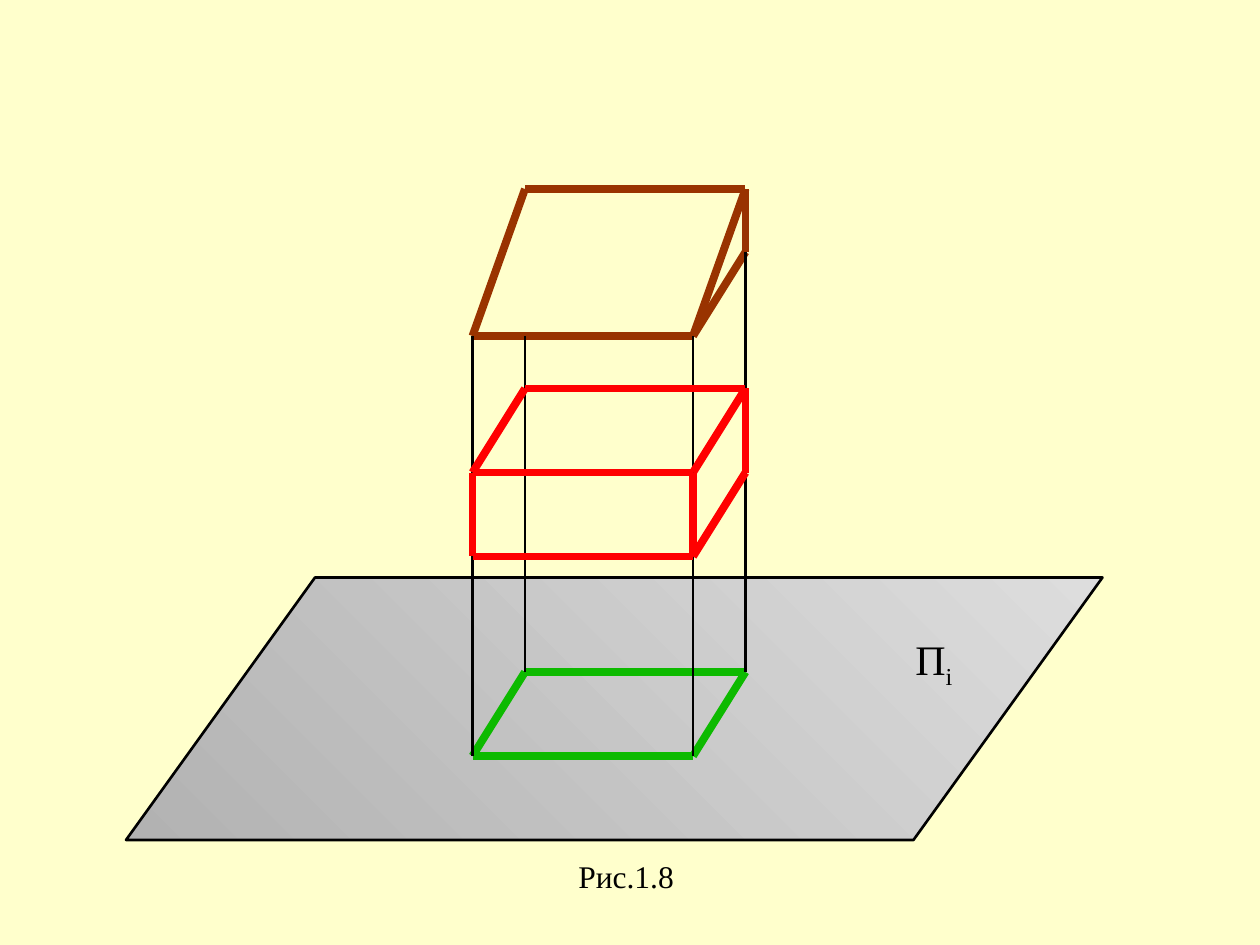
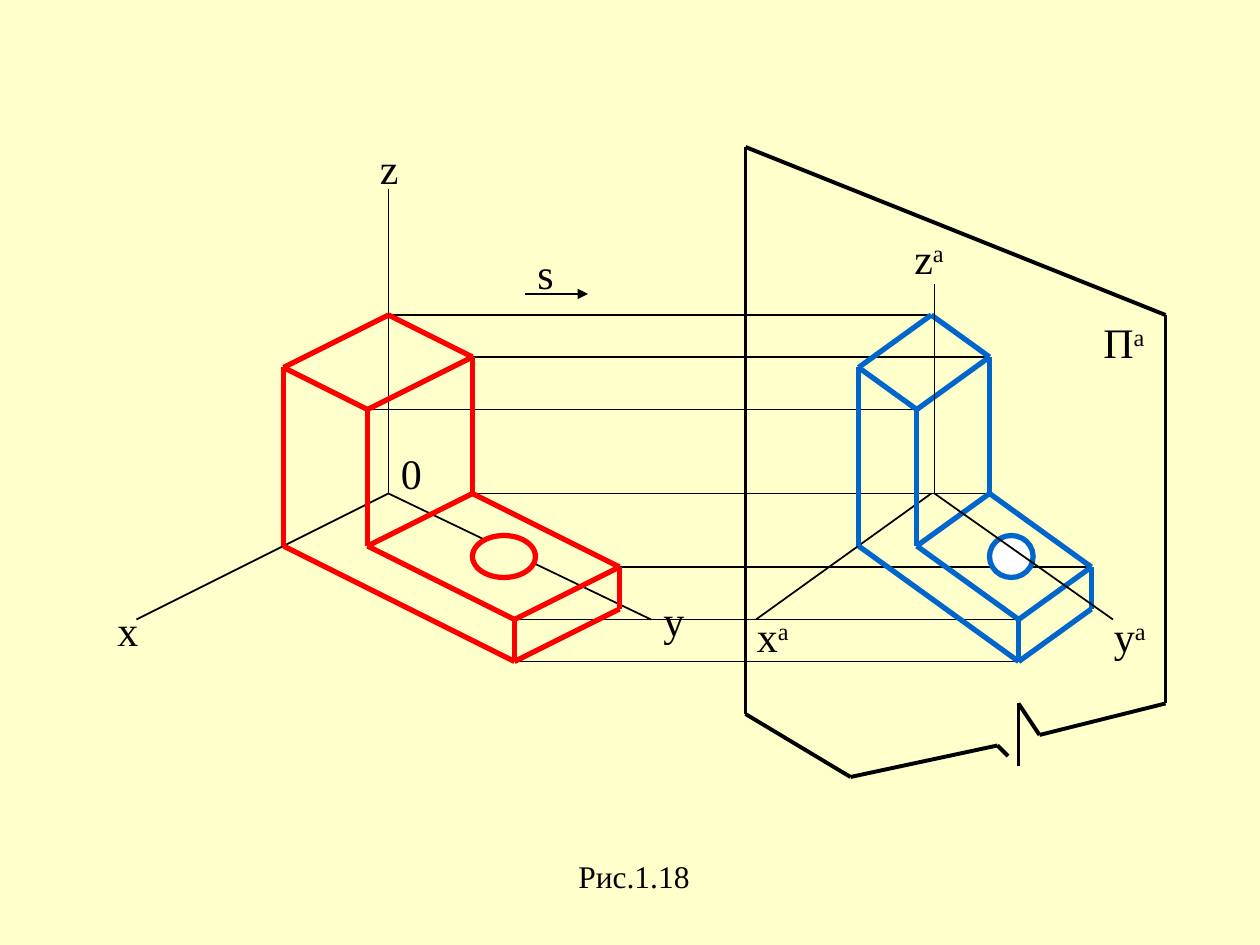
import dataclasses

import lxml.etree
import pptx
import pptx.dml.color
import pptx.enum.dml
import pptx.enum.shapes
import pptx.enum.text
import pptx.oxml.ns
import pptx.util


@dataclasses.dataclass(frozen=True)
class Theme:
    paper: str = "FFFFCC"
    ink: str = "000000"
    white: str = "FFFFFF"
    brown: str = "993300"
    green: str = "0DBA00"
    red: str = "FF0000"
    blue: str = "0066CC"
    dark: str = "B2B2B2"
    light: str = "DDDDDD"
    font: str = "Times New Roman"
    mark: int = 24
    note: int = 18
    hair: float = 0.75
    thin: float = 1
    fine: float = 1.5
    firm: float = 2.25
    bold: float = 3
    thick: float = 4.5


T = Theme()
CELL = 2.54 / 12  # grid step in centimetres; every place below counts steps
SUB, SUP = -25000, 30000

# Projection of a roof and a block onto a plane
FLOOR = (12, 55, 93, 25)
SLANT = 18 / 25
ROOF = [[(45, 32), (66, 32), (71, 24), (71, 18), (50, 18), (45, 32)],
        [(66, 32), (71, 18)]]
BASE = [[(45, 72), (66, 72), (71, 64), (50, 64), (45, 72)]]
DROPS = [[(71, 24), (71, 64)], [(66, 32), (66, 72)],
         [(50, 32), (50, 64)], [(45, 32), (45, 72)]]
BLOCK = [[(45, 53), (66, 53), (66, 45), (45, 45), (45, 53)],
         [(45, 45), (50, 37), (71, 37), (66, 45)],
         [(66, 53), (71, 45), (71, 37)]]
FLOOR_MARK = ("П", "i", SUB, (86, 59.7, 6, 6.7))

# Axonometric view of a bracket and its projection
CORNERS = {"A": (37, 30), "B": (27, 35), "C": (45, 34), "D": (35, 39),
           "E": (27, 52), "F": (45, 47), "G": (35, 52), "H": (49, 59),
           "I": (49, 63), "J": (59, 54), "K": (59, 58)}
EDGES = ["ABDCA", "BEIKJHI", "CFJ", "DGH", "FG"]
RAYS = "IAHJFDC"
HOLE = (45, 51, 6, 4)
AXES = [[(62, 59), (37, 47)], [(37, 18), (37, 47)], [(37, 47), (13, 59)]]
FAR_X = [[(88.7, 47), (72, 59)]]
FAR_YZ = [[(106, 59), (89, 47), (89, 27)]]
WALL = [[(71, 14), (71, 68), (81, 74), (95, 71), (96, 72)],
        [(97, 73), (97, 67), (99, 70), (111, 67), (111, 30), (71, 14)]]
ARROW = [[(50, 28), (56, 28)]]
NEAR_MARKS = [("х", "", 0, (10, 57, 4.3, 6)),
              ("z", "", 0, (35, 13, 4.2, 6)),
              ("y", "", 0, (62, 56, 4.3, 6)),
              ("0", "", 0, (37, 42, 4.3, 6))]
FAR_MARKS = [("x", "a", SUP, (70.9, 57.6, 5.6, 6)),
             ("z", "a", SUP, (85.9, 21.6, 5.4, 6)),
             ("y", "a", SUP, (104.9, 57.6, 5.6, 6))]
WALL_MARK = ("П", "a", SUP, (103.9, 29.6, 6.6, 6))
RAY_MARK = ("s", "", 0, (50, 23, 4, 6))


def tint(code):
    return pptx.dml.color.RGBColor.from_string(code)


def steps(*counts):
    return [pptx.util.Cm(count * CELL) for count in counts]


def shift(point):
    """Carry a point of the near bracket to the far one."""
    x, y = point
    return 88.7 + 0.693 * (x - 37), y


def group(slide):
    return slide.shapes.add_group_shape().shapes


def draw(shapes, chains, color, width, arrow=False):
    """Join the points of each chain with straight lines."""
    qn = pptx.oxml.ns.qn
    for chain in chains:
        for start, end in zip(chain, chain[1:]):
            line = shapes.add_connector(
                pptx.enum.shapes.MSO_CONNECTOR.STRAIGHT,
                *steps(*start, *end))
            line.line.color.rgb = tint(color)
            line.line.width = pptx.util.Pt(width)
            if arrow:
                lxml.etree.SubElement(line.line._get_or_add_ln(),
                                      qn("a:tailEnd"), type="triangle")
            lxml.etree.SubElement(line._element.spPr, qn("a:effectLst"))


def shape(shapes, kind, box, color, width):
    item = shapes.add_shape(kind, *steps(*box))
    item.shadow.inherit = False
    item.line.color.rgb = tint(color)
    item.line.width = pptx.util.Pt(width)
    return item


def write(shapes, text, index, base, box, size=T.mark):
    """Place a label with an optional raised or lowered index."""
    frame = shapes.add_textbox(*steps(*box)).text_frame
    frame.word_wrap = False
    frame.auto_size = pptx.enum.text.MSO_AUTO_SIZE.SHAPE_TO_FIT_TEXT
    for part, level in ((text, 0), (index, base)):
        if part:
            run = frame.paragraphs[0].add_run()
            run.text = part
            run.font.name = T.font
            run.font.size = pptx.util.Pt(size)
            run.font.color.rgb = tint(T.ink)
            if level:
                run._r.get_or_add_rPr().set("baseline", str(level))


def page(deck, note, width):
    """Add a slide with the shared paper colour and figure caption."""
    slide = deck.slides.add_slide(deck.slide_layouts[6])
    slide.background.fill.solid()
    slide.background.fill.fore_color.rgb = tint(T.paper)
    write(slide.shapes, note, "", 0, (53.9, 81, width, 4.8), T.note)
    return slide


def bracket(shapes, move, color, fill):
    corners = {name: move(point) for name, point in CORNERS.items()}
    draw(shapes, [[corners[name] for name in chain] for chain in EDGES],
         color, T.bold)
    x, y, width, height = HOLE
    left, right = move((x, y))[0], move((x + width, y))[0]
    hole = shape(shapes, pptx.enum.shapes.MSO_SHAPE.OVAL,
                 (left, y, right - left, height), color, T.bold)
    hole.fill.solid()
    hole.fill.fore_color.rgb = tint(fill)


def roof_page(deck):
    slide = page(deck, "Рис.1.8", 11.5)
    floor = shape(slide.shapes, pptx.enum.shapes.MSO_SHAPE.PARALLELOGRAM,
                  FLOOR, T.ink, T.fine)
    floor.adjustments[0] = SLANT
    floor.fill.gradient()
    floor.fill.gradient_angle = 45
    for stop, color in zip(floor.fill.gradient_stops, (T.dark, T.light)):
        stop.color.rgb = tint(color)
    for chains, color, width in ((ROOF, T.brown, T.thick),
                                 (BASE, T.green, T.thick),
                                 (DROPS, T.ink, T.fine),
                                 (BLOCK, T.red, T.thick)):
        draw(group(slide), chains, color, width)
    write(slide.shapes, *FLOOR_MARK)


def bracket_page(deck):
    slide = page(deck, "Рис.1.18", 13)
    rays = [[CORNERS[name], shift(CORNERS[name])] for name in RAYS]
    draw(group(slide), rays, T.ink, T.hair)

    sight = group(slide)
    draw(sight, ARROW, T.ink, T.hair, arrow=True)
    write(sight, *RAY_MARK)

    far = group(slide)
    draw(far, FAR_X, T.ink, T.thin)
    bracket(far, shift, T.blue, T.white)
    draw(far, FAR_YZ, T.ink, T.thin)
    for mark in FAR_MARKS:
        write(far, *mark)

    wall = group(slide)
    draw(wall, WALL, T.ink, T.firm)
    write(wall, *WALL_MARK)

    near = group(slide)
    draw(near, AXES, T.ink, T.thin)
    bracket(near, lambda point: point, T.red, T.paper)
    for mark in NEAR_MARKS:
        write(near, *mark)


def main():
    deck = pptx.Presentation()
    deck.slide_width, deck.slide_height = steps(120, 90)
    roof_page(deck)
    bracket_page(deck)
    deck.save("out.pptx")


if __name__ == "__main__":
    main()
